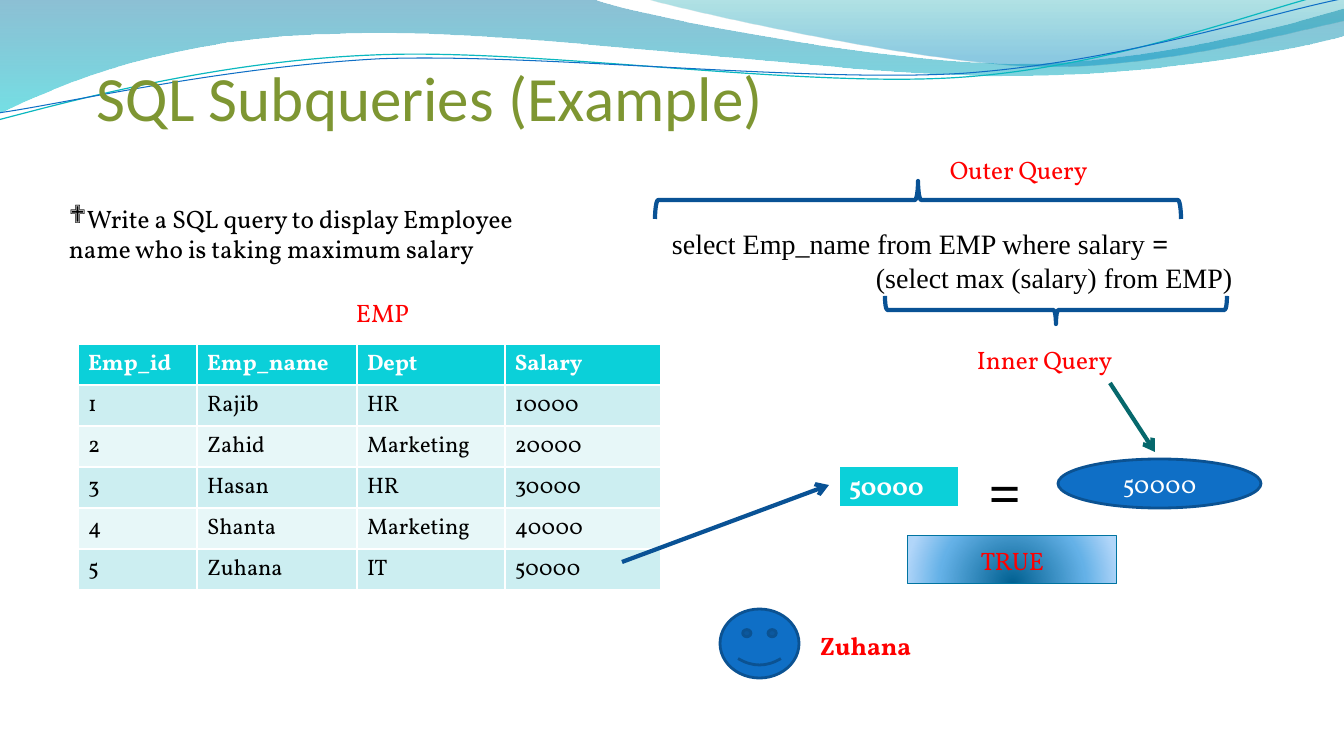
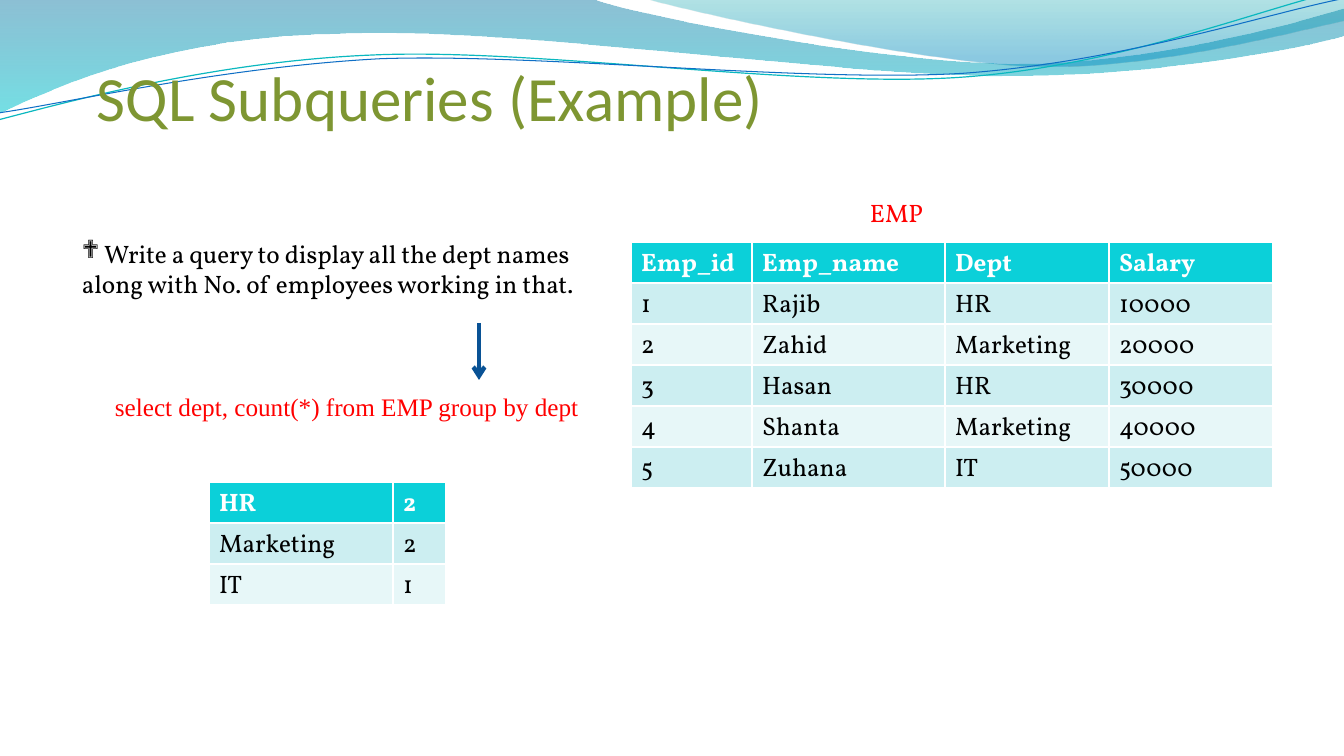
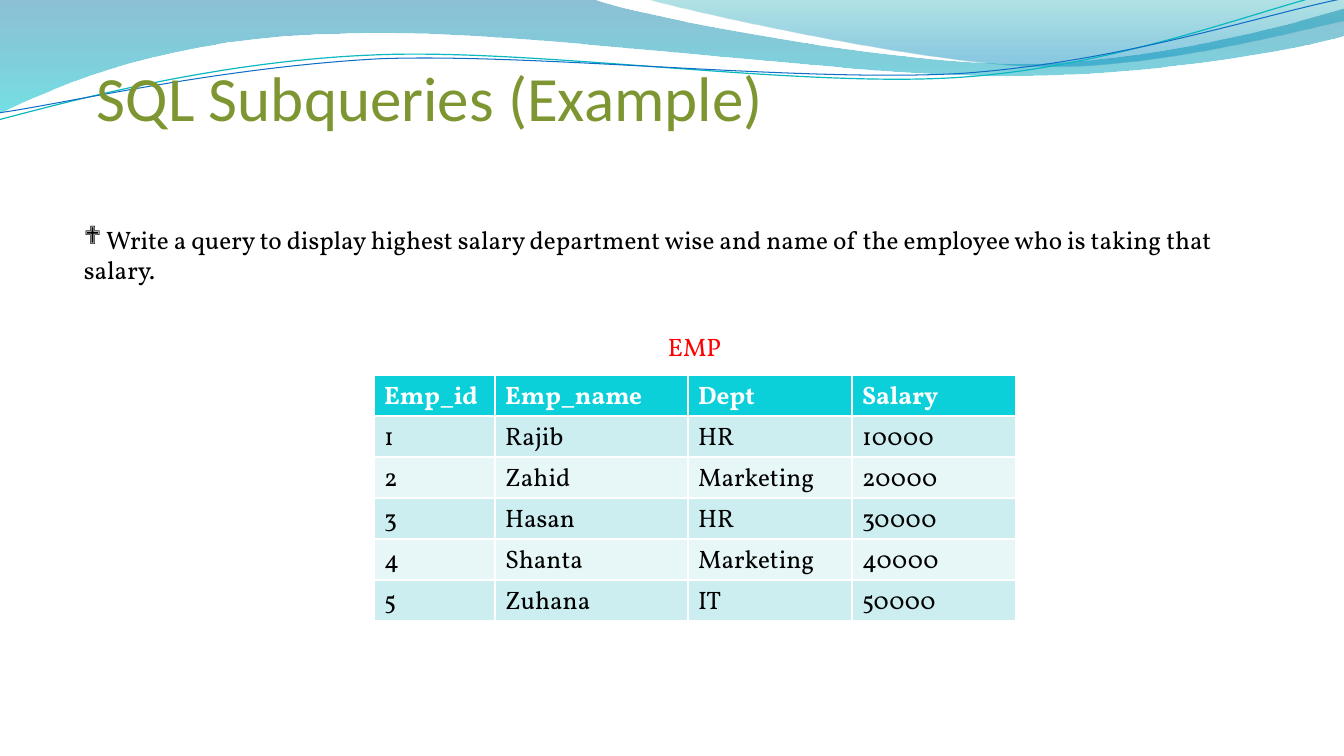
from lxml import etree
from pptx import Presentation
from pptx import util as u
from pptx.dml.color import RGBColor
from pptx.enum import shapes, text
from pptx.oxml import ns

SCALE = 914400 / 100.8
BODY_FONT, TITLE_FONT, CODE_FONT = "Vollkorn", "Calibri", "Times New Roman"

WHITE = RGBColor(0xFF, 0xFF, 0xFF)
BLACK = RGBColor(0, 0, 0)
RED = RGBColor(0xFF, 0, 0)
OLIVE = RGBColor(0x7E, 0x96, 0x32)
CYAN = RGBColor(0x0B, 0xD0, 0xD9)
DARK_STRIPE = RGBColor(0xCC, 0xEE, 0xF1)
LIGHT_STRIPE = RGBColor(0xE7, 0xF7, 0xF8)
BLUE = RGBColor(0x0F, 0x6F, 0xC6)
BLUE_EDGE = RGBColor(0x0B, 0x52, 0x92)
NAVY = RGBColor(0x09, 0x52, 0x95)
DARK_TEAL = RGBColor(0x06, 0x68, 0x6C)
WAVE_TEAL = RGBColor(0x0A, 0xB8, 0xBF)
BOX_EDGE = RGBColor(0, 0x74, 0xA1)

DOWNWARD = ("lin", {"ang": "5400000", "scaled": "0"}, None)
FROM_BOTTOM = ("path", {"path": "circle"},
               {"l": "50000", "t": "130000", "r": "50000", "b": "-30000"})
LEFT_BAND_STOPS = [(0, BOX_EDGE, 45), (100, RGBColor(0, 0xC6, 0xCF), 55)]
RIGHT_BAND_STOPS = [(0, RGBColor(0, 0xA1, 0xA9), 30),
                    (80, RGBColor(0, 0x8B, 0xBF), 45)]
TRUE_STOPS = [(0, RGBColor(0, 0x60, 0x91), 100),
              (68, RGBColor(0x64, 0xB1, 0xE7), 100),
              (100, RGBColor(0xB1, 0xD6, 0xF9), 100)]

# Each step holds one point for a straight line or three for a Bezier curve.
LEFT_BAND = [[(0, 0)], [(592, -1)],
             [(639, 17), (892, 64), (1019, 64)],
             [(1147, 64), (1288, 26), (1344, 9)], [(1346, 36)],
             [(1321, 44), (1169, 77), (1002, 76)],
             [(836, 76), (513, 28), (346, 34)],
             [(173, 36), (61, 84), (-1, 114)], [(0, 0)]]
RIGHT_BAND = [[(644, -1)],
              [(684, 11), (916, 62), (1033, 66)],
              [(1149, 70), (1292, 32), (1344, 21)], [(1344, 0)], [(644, -1)]]
# The waves are laid out level and then tilted.
WAVE_TILT = 357.3
TEAL_WAVE = [[(-3, 88)],
             [(64, 74), (213, 40), (372, 41)],
             [(532, 41), (794, 94), (957, 91)],
             [(1118, 88), (1264, 36), (1344, 22)]]
BLUE_WAVE = [[(-2, 81)],
             [(63, 75), (220, 46), (381, 45)],
             [(541, 47), (801, 89), (962, 87)],
             [(1123, 83), (1266, 42), (1347, 30)]]

EMPLOYEES = [("Emp_id", "Emp_name", "Dept", "Salary"),
             ("1", "Rajib", "HR", "10000"),
             ("2", "Zahid", "Marketing", "20000"),
             ("3", "Hasan", "HR", "30000"),
             ("4", "Shanta", "Marketing", "40000"),
             ("5", "Zuhana", "IT", "50000")]
DEPT_COUNTS = [("HR", "2"), ("Marketing", "2"), ("IT", "1")]
WIDE_COLUMNS = (121, 193, 164, 164)
ROW_HEIGHT = 41


def px(length):
    """Turn pixels into EMU."""
    return u.Emu(round(length * SCALE))


def add_xml(parent, tag, **attributes):
    """Append a DrawingML element to parent."""
    return etree.SubElement(parent, ns.qn("a:" + tag), attributes)


def fill_gradient(shape, stops, direction):
    """Give a shape a gradient of (position, colour, opacity) stops."""
    shape.fill.background()
    properties = shape.element.spPr
    gradient = etree.Element(ns.qn("a:gradFill"), rotWithShape="1")
    stop_list = add_xml(gradient, "gsLst")
    for position, colour, opacity in stops:
        stop = add_xml(stop_list, "gs", pos=str(position * 1000))
        rgb = add_xml(stop, "srgbClr", val=str(colour))
        if opacity < 100:
            add_xml(rgb, "alpha", val=str(opacity * 1000))
    tag, attributes, focus = direction
    course = add_xml(gradient, tag, **attributes)
    if focus:
        add_xml(course, "fillToRect", **focus)
    properties.replace(properties.find(ns.qn("a:noFill")), gradient)


def outline(shape, colour, width):
    """Set the line of a shape or connector."""
    shape.line.color.rgb = colour
    shape.line.width = u.Pt(width)


def add_curve_path(slide, steps, closed):
    """Draw a freeform along the steps, with true Bezier curves."""
    points = [(px(x), px(y)) for step in steps for x, y in step]
    builder = slide.shapes.build_freeform(*points[0], scale=1.0)
    builder.add_line_segments(points[1:], close=closed)
    outline_shape = builder.convert_to_shape()
    outline_shape.shadow.inherit = False
    track = outline_shape.element.spPr.find(".//" + ns.qn("a:path"))
    segments = iter(track.findall(ns.qn("a:lnTo")))
    for step in steps[1:]:
        group = [next(segments) for _ in step]
        if len(group) == 3:
            curve = etree.Element(ns.qn("a:cubicBezTo"))
            group[0].addprevious(curve)
            for segment in group:
                curve.append(segment[0])
                track.remove(segment)
    return outline_shape


def add_band(slide, steps, stops):
    """Draw a filled header band."""
    band = add_curve_path(slide, steps, True)
    fill_gradient(band, stops, DOWNWARD)
    band.line.fill.background()


def add_wave(slide, steps, colour, width):
    """Draw a thin tilted wave line."""
    wave = add_curve_path(slide, steps, False)
    wave.fill.background()
    outline(wave, colour, width)
    wave.rotation = WAVE_TILT


def add_run(paragraph, words, size=18, colour=BLACK, font=BODY_FONT, bold=False):
    """Add one formatted run."""
    run = paragraph.add_run()
    run.text = words
    run.font.size = u.Pt(size)
    run.font.name = font
    run.font.bold = bold
    run.font.color.rgb = colour


def add_box(slide, box):
    """Add a wrapping text box and return its text frame."""
    frame = slide.shapes.add_textbox(*map(px, box)).text_frame
    frame.word_wrap = True
    return frame


def add_label(slide, box, words, **style):
    """Add a one-run text, red unless told otherwise."""
    add_run(add_box(slide, box).paragraphs[0], words, **{"colour": RED, **style})


def add_task(slide, box, words):
    """Add the bulleted task of a slide."""
    paragraph = add_box(slide, box).paragraphs[0]
    properties = paragraph._p.get_or_add_pPr()
    properties.set("marL", "0")
    properties.set("indent", "0")
    add_xml(properties, "buFont", typeface="Wingdings", charset="2")
    add_xml(properties, "buChar", char="❖")
    add_run(paragraph, words)


def add_query(slide, box, lines):
    """Add code lines given as (indent, [(words, bold), ...])."""
    frame = add_box(slide, box)
    for i, (indent, runs) in enumerate(lines):
        paragraph = frame.add_paragraph() if i else frame.paragraphs[0]
        paragraph._p.get_or_add_pPr().set("marL", str(px(indent)))
        for words, bold in runs:
            add_run(paragraph, words, 20, font=CODE_FONT, bold=bold)


def add_grid(slide, left, top, columns, rows, size=18):
    """Add a table with a cyan head and striped rows."""
    table = slide.shapes.add_table(
        len(rows), len(columns), px(left), px(top),
        px(sum(columns)), px(ROW_HEIGHT * len(rows))).table
    for column, width in zip(table.columns, columns):
        column.width = px(width)
    for r, values in enumerate(rows):
        table.rows[r].height = px(ROW_HEIGHT)
        head = r == 0
        stripe = CYAN if head else DARK_STRIPE if r % 2 else LIGHT_STRIPE
        for c, value in enumerate(values):
            cell = table.cell(r, c)
            cell.fill.solid()
            cell.fill.fore_color.rgb = stripe
            add_run(cell.text_frame.paragraphs[0], value, size,
                    WHITE if head else BLACK, bold=head)


def add_arrow(slide, start, end, colour=NAVY):
    """Draw an arrow from start to end."""
    arrow = slide.shapes.add_connector(
        shapes.MSO_CONNECTOR.STRAIGHT, *map(px, (*start, *end)))
    outline(arrow, colour, 3)
    properties = arrow.element.spPr
    add_xml(properties.find(ns.qn("a:ln")), "tailEnd", type="arrow")
    add_xml(properties, "effectLst")


def add_figure(slide, kind, box, fill, edge, width, words="", colour=WHITE):
    """Add a preset shape, unfilled if fill is None, with centred words."""
    figure = slide.shapes.add_shape(kind, *map(px, box))
    figure.shadow.inherit = False
    if fill is None:
        figure.fill.background()
    else:
        figure.fill.solid()
        figure.fill.fore_color.rgb = fill
    outline(figure, edge, width)
    if words:
        frame = figure.text_frame
        frame.vertical_anchor = text.MSO_ANCHOR.MIDDLE
        frame.paragraphs[0].alignment = text.PP_ALIGN.CENTER
        add_run(frame.paragraphs[0], words, colour=colour)
    return figure


def add_brace(slide, box, rotation):
    """Add a brace turned onto its side."""
    brace = add_figure(slide, shapes.MSO_SHAPE.LEFT_BRACE, box, None, NAVY, 3)
    brace.rotation = rotation


def add_verdict(slide, box, words):
    """Add the result box with its radial gradient."""
    verdict = add_figure(slide, shapes.MSO_SHAPE.RECTANGLE, box, None,
                         BOX_EDGE, 0.75, words, RED)
    fill_gradient(verdict, TRUE_STOPS, FROM_BOTTOM)


def add_themed_slide(deck):
    """Add a blank slide with the shared header and title."""
    slide = deck.slides.add_slide(deck.slide_layouts[6])
    add_band(slide, LEFT_BAND, LEFT_BAND_STOPS)
    add_band(slide, RIGHT_BAND, RIGHT_BAND_STOPS)
    add_wave(slide, TEAL_WAVE, WAVE_TEAL, 0.85)
    add_wave(slide, BLUE_WAVE, BLUE, 0.75)
    title = add_box(slide, (97, 73, 917, 61))
    title.vertical_anchor = text.MSO_ANCHOR.BOTTOM
    title.margin_left = title.margin_right = title.margin_bottom = 0
    add_run(title.paragraphs[0], "SQL Subqueries (Example)", 45, OLIVE, TITLE_FONT)
    return slide


def add_max_salary(deck):
    """Build the slide that walks through the nested query."""
    slide = add_themed_slide(deck)
    add_task(slide, (59, 198, 495, 102),
             "Write a SQL query to display Employee name who is taking maximum salary")
    add_grid(slide, 78, 344, (119, 160, 148, 156), EMPLOYEES, size=16)
    add_label(slide, (346, 292, 80, 40), "EMP")
    add_query(slide, (614, 222, 672, 109),
              [(48, [("select Emp_name from EMP where salary ", False), ("=", True)]),
               (252, [("(select max (salary) from EMP)", False)])])
    add_brace(slide, (899, -63, 38, 526), 90)
    add_label(slide, (940, 149, 182, 40), "Outer Query")
    add_brace(slide, (1042, 139, 28, 342), 270)
    add_label(slide, (967, 339, 175, 40), "Inner Query")
    add_arrow(slide, (1110, 383), (1155, 452), DARK_TEAL)
    add_figure(slide, shapes.MSO_SHAPE.OVAL, (1058, 459, 203, 49),
               BLUE, BLUE_EDGE, 2, "50000")
    add_label(slide, (979, 453, 58, 78), "=", size=40, colour=BLACK,
              font=CODE_FONT, bold=True)
    add_arrow(slide, (622, 562), (829, 485))
    add_grid(slide, 839, 466, (120,), [("50000",)])
    add_verdict(slide, (908, 536, 209, 48), "TRUE")
    add_figure(slide, shapes.MSO_SHAPE.SMILEY_FACE, (720, 609, 79, 69),
               BLUE, BLUE_EDGE, 2)
    add_label(slide, (810, 625, 118, 40), "Zuhana", bold=True)


def add_dept_count(deck):
    """Build the slide that counts employees by department."""
    slide = add_themed_slide(deck)
    add_task(slide, (72, 233, 551, 102),
             " Write a query to display all the dept names along with "
             "No. of employees working in that.")
    add_grid(slide, 631, 242, WIDE_COLUMNS, EMPLOYEES)
    add_label(slide, (860, 192, 80, 40), "EMP")
    add_grid(slide, 209, 482, (184, 53), DEPT_COUNTS)
    add_arrow(slide, (479, 323), (479, 380))
    add_label(slide, (105, 386, 489, 40),
              "select dept, count(*) from EMP group by dept", font=CODE_FONT)


def add_dept_maximum(deck):
    """Build the slide that asks for the top salary by department."""
    slide = add_themed_slide(deck)
    add_task(slide, (74, 219, 1195, 72),
             " Write a query to display highest salary department wise and "
             "name of the employee who is taking that salary.")
    add_grid(slide, 374, 375, WIDE_COLUMNS, EMPLOYEES)
    add_label(slide, (658, 326, 80, 40), "EMP")


def main():
    """Build and save the deck."""
    deck = Presentation()
    deck.slide_width, deck.slide_height = px(1344), px(756)
    add_max_salary(deck)
    add_dept_count(deck)
    add_dept_maximum(deck)
    deck.save("out.pptx")


main()
